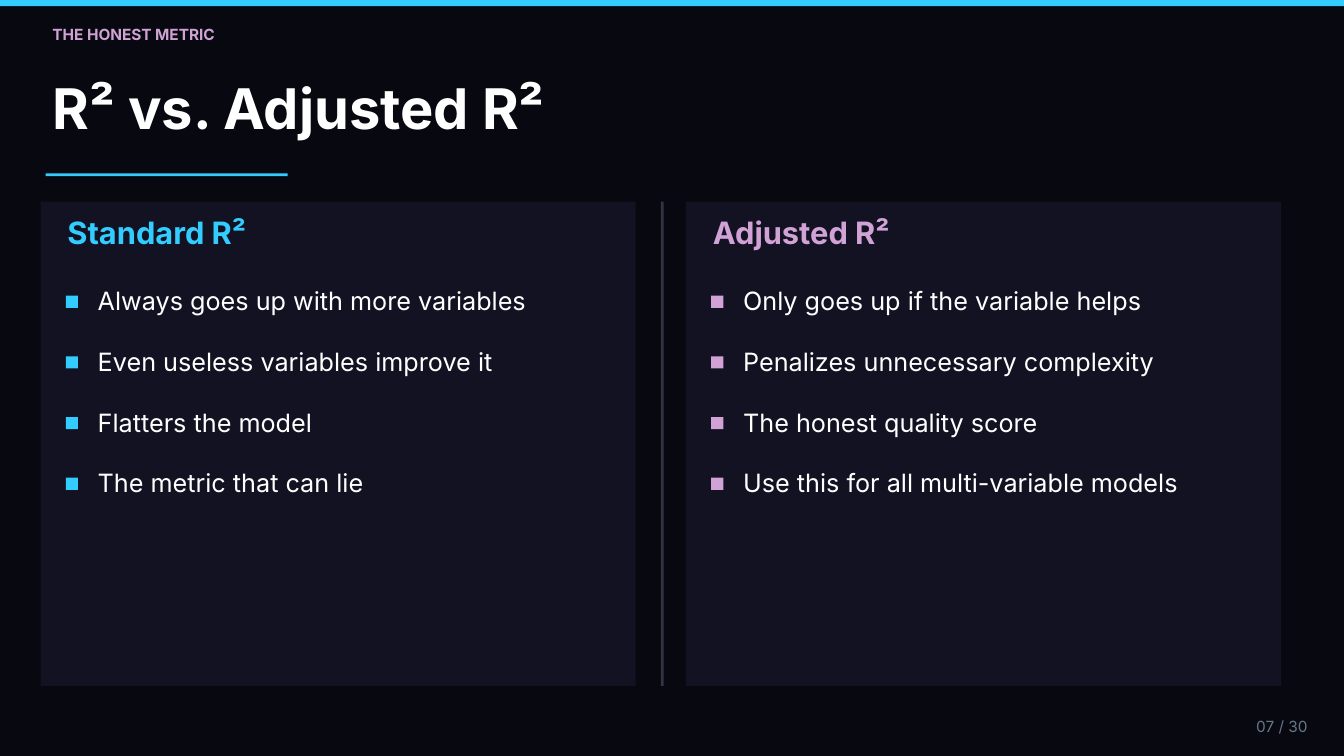
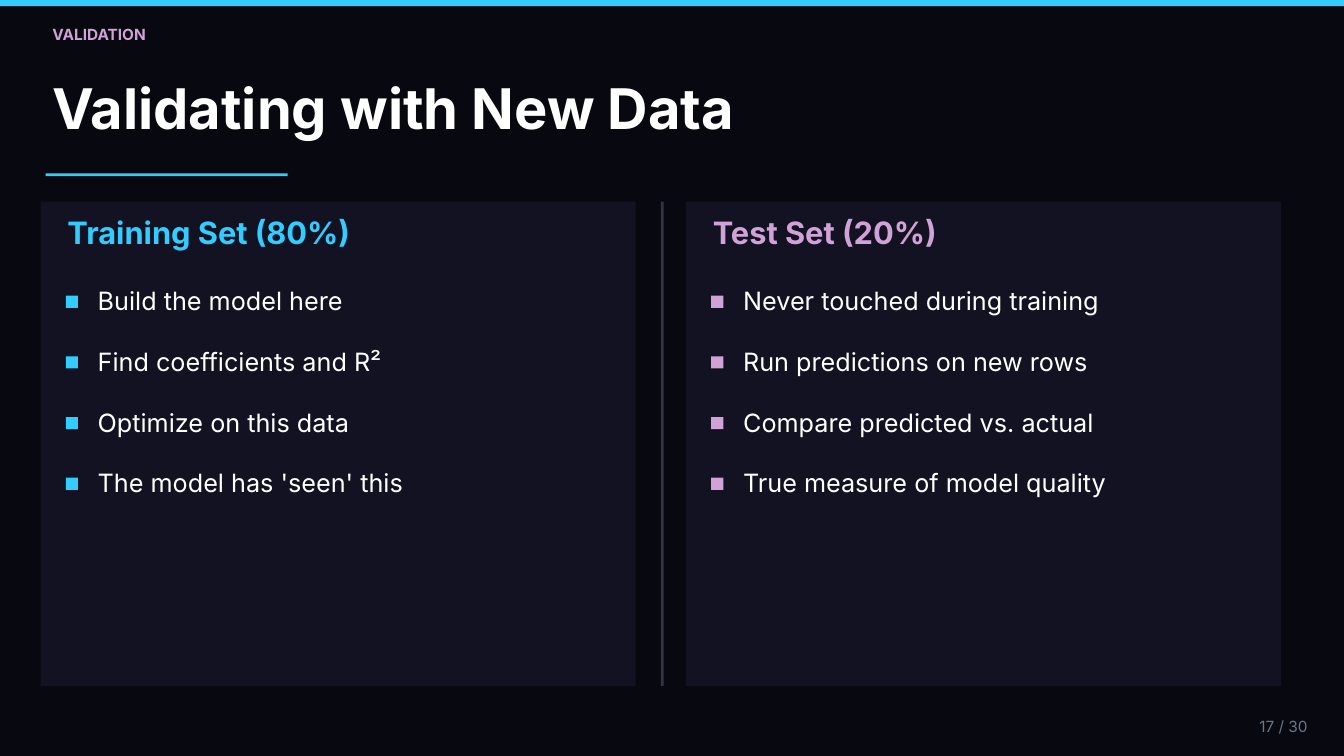
from dataclasses import dataclass

from pptx import Presentation
from pptx.dml.color import RGBColor
from pptx.enum import shapes, text
from pptx.slide import Slide
from pptx.util import Pt

COLORS = {
    "background": "080810",
    "cyan": "33CCFF",
    "lilac": "D1A2D6",
    "panel": "121222",
    "divider": "333344",
    "white": "FFFFFF",
    "muted": "667788",
}
FONT = "Inter"
LINE_HEIGHT = 1.2
SLIDE_WIDTH, SLIDE_HEIGHT = 1440, 810
TITLE_LEFT = 56.25
PANEL_TOP, PANEL_WIDTH, PANEL_HEIGHT = 216, 637.5, 519
PANEL_LEFTS = (43.5, 735)
PANEL_COLORS = ("cyan", "lilac")
PANEL_PADDING = 28.8
POINT_TOP, POINT_PITCH, POINT_INDENT = 306, 65, 61.2
MARKER_SIZE, MARKER_INDENT, MARKER_DROP = 13, 27, 10.8
TOTAL_PAGES = 30


@dataclass(frozen=True)
class TextStyle:
    size: float
    color: str
    bold: bool = False
    align: text.PP_ALIGN = text.PP_ALIGN.LEFT


@dataclass(frozen=True)
class Panel:
    heading: str
    points: tuple[str, ...]


@dataclass(frozen=True)
class Comparison:
    kicker: str
    title: str
    page: int
    panels: tuple[Panel, Panel]


KICKER = TextStyle(16.5, "lilac", bold=True)
TITLE = TextStyle(60, "white", bold=True)
POINT = TextStyle(27, "white")
PAGE = TextStyle(16.5, "muted", align=text.PP_ALIGN.RIGHT)

COMPARISONS = (
    Comparison("THE HONEST METRIC", "R² vs. Adjusted R²", 7, (
        Panel("Standard R²", (
            "Always goes up with more variables",
            "Even useless variables improve it",
            "Flatters the model",
            "The metric that can lie",
        )),
        Panel("Adjusted R²", (
            "Only goes up if the variable helps",
            "Penalizes unnecessary complexity",
            "The honest quality score",
            "Use this for all multi-variable models",
        )),
    )),
    Comparison("VALIDATION", "Validating with New Data", 17, (
        Panel("Training Set (80%)", (
            "Build the model here",
            "Find coefficients and R²",
            "Optimize on this data",
            "The model has 'seen' this",
        )),
        Panel("Test Set (20%)", (
            "Never touched during training",
            "Run predictions on new rows",
            "Compare predicted vs. actual",
            "True measure of model quality",
        )),
    )),
)


def rgb(color: str) -> RGBColor:
    return RGBColor.from_string(COLORS[color])


def add_block(slide: Slide, left: float, top: float, width: float,
              height: float, color: str) -> None:
    block = slide.shapes.add_shape(
        shapes.MSO_SHAPE.RECTANGLE, Pt(left), Pt(top), Pt(width), Pt(height))
    block.shadow.inherit = False
    block.fill.solid()
    block.fill.fore_color.rgb = rgb(color)
    block.line.fill.background()


def add_text(slide: Slide, left: float, top: float, width: float,
             wording: str, style: TextStyle) -> None:
    line_height = Pt(style.size * LINE_HEIGHT)
    box = slide.shapes.add_textbox(Pt(left), Pt(top), Pt(width), line_height)
    frame = box.text_frame
    frame.word_wrap = True
    frame.auto_size = text.MSO_AUTO_SIZE.SHAPE_TO_FIT_TEXT
    frame.margin_left = frame.margin_right = 0
    frame.margin_top = frame.margin_bottom = 0
    paragraph = frame.paragraphs[0]
    paragraph.alignment = style.align
    paragraph.line_spacing = line_height
    run = paragraph.add_run()
    run.text = wording
    run.font.name = FONT
    run.font.size = Pt(style.size)
    run.font.bold = style.bold
    run.font.color.rgb = rgb(style.color)


def add_panel(slide: Slide, left: float, color: str, panel: Panel) -> None:
    add_block(slide, left, PANEL_TOP, PANEL_WIDTH, PANEL_HEIGHT, "panel")
    add_text(slide, left + PANEL_PADDING, 229.5, PANEL_WIDTH - 2 * PANEL_PADDING,
             panel.heading, TextStyle(33, color, bold=True))
    point_width = PANEL_WIDTH - POINT_INDENT - PANEL_PADDING
    for row, point in enumerate(panel.points):
        top = POINT_TOP + row * POINT_PITCH
        add_block(slide, left + MARKER_INDENT, top + MARKER_DROP,
                  MARKER_SIZE, MARKER_SIZE, color)
        add_text(slide, left + POINT_INDENT, top, point_width, point, POINT)


def add_comparison(slide: Slide, comparison: Comparison) -> None:
    add_block(slide, 0, 0, SLIDE_WIDTH, 6.5, "cyan")
    add_text(slide, TITLE_LEFT, 26.5, 850, comparison.kicker, KICKER)
    add_text(slide, TITLE_LEFT, 79.2, 1282.5, comparison.title, TITLE)
    add_block(slide, 48.75, 185.75, 259.5, 3, "cyan")
    for left, color, panel in zip(PANEL_LEFTS, PANEL_COLORS, comparison.panels):
        add_panel(slide, left, color, panel)
    add_block(slide, 708, PANEL_TOP, 3, PANEL_HEIGHT, "divider")
    add_text(slide, 1296.75, 768.25, 104.25,
             f"{comparison.page:02d} / {TOTAL_PAGES}", PAGE)


def main() -> None:
    deck = Presentation()
    deck.slide_width, deck.slide_height = Pt(SLIDE_WIDTH), Pt(SLIDE_HEIGHT)
    backdrop = deck.slide_master.background.fill
    backdrop.solid()
    backdrop.fore_color.rgb = rgb("background")
    for comparison in COMPARISONS:
        add_comparison(deck.slides.add_slide(deck.slide_layouts[6]), comparison)
    deck.save("out.pptx")


if __name__ == "__main__":
    main()
